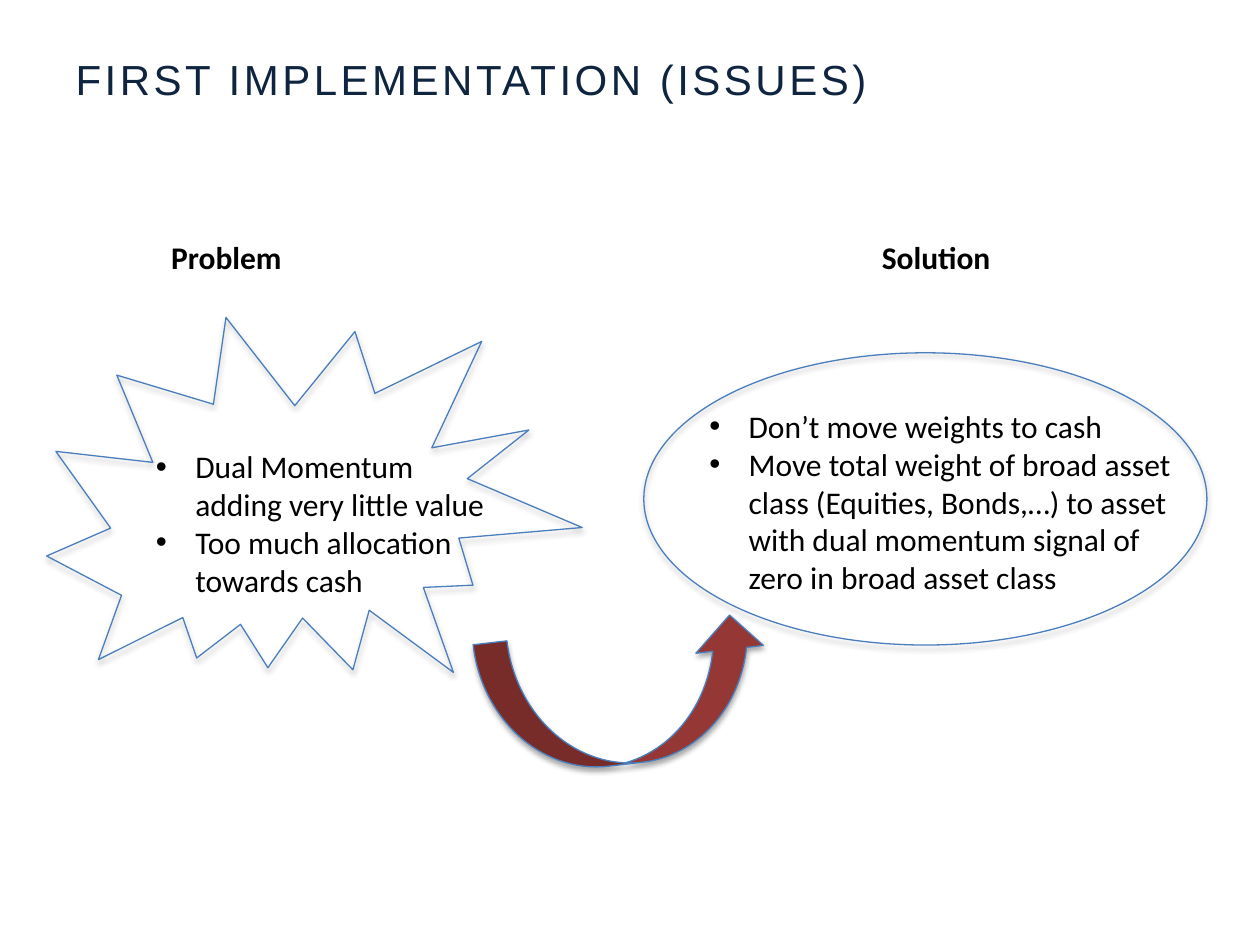
from lxml.etree import SubElement
from pptx import Presentation
from pptx.dml.color import RGBColor
from pptx.enum.shapes import MSO_SHAPE
from pptx.enum.text import MSO_ANCHOR, PP_ALIGN
from pptx.oxml.ns import qn
from pptx.util import Pt

# Content: boxes are left, top, width, height in points
TITLE = "FIRST IMPLEMENTATION (ISSUES)"
HEADS = [
    ("Problem", (90.7, 132.5, 163.4, 29)),
    ("Solution", (496.8, 132.5, 163.4, 29)),
]
LISTS = [
    (["Dual Momentum adding very little value",
      "Too much allocation towards cash"],
     (82, 252, 214.6, 116.6)),
    (["Don’t move weights to cash",
      "Move total weight of broad asset class (Equities, Bonds,…) to asset "
      "with dual momentum signal of zero in broad asset class"],
     (398.2, 229, 291.6, 116.6)),
]
SHAPES = [  # kind, box, turn, fill
    (MSO_SHAPE.EXPLOSION2, (30.2, 165.6, 295.2, 250.6), 22, None),
    (MSO_SHAPE.OVAL, (367.9, 201.6, 321.8, 167), 0, None),
    (MSO_SHAPE.CURVED_UP_ARROW, (274.3, 358.6, 167, 77.8), 353.4, "953735"),
]

# Formats
BODY = {"name": "Calibri", "size": Pt(18), "bold": False}
HEAD = BODY | {"bold": True}
TOP = {"name": "Arial", "size": Pt(24), "bold": False}
EDGE = "4B7EBC"
INDENT = Pt(22.5)


def tint(color, code):
    color.rgb = RGBColor.from_string(code)


def style(font, look, code):
    for key, val in look.items():
        setattr(font, key, val)
    tint(font.color, code)


def place(box):
    return [Pt(n) for n in box]


def shade(shape):
    """Give the shape a soft shadow straight below it."""
    shape.shadow.inherit = False
    list_ = shape._element.spPr.find(qn("a:effectLst"))
    drop = SubElement(list_, qn("a:outerShdw"), blurRad=str(Pt(3.1)),
                      dist=str(Pt(1.8)), dir="5400000", rotWithShape="0")
    ink = SubElement(drop, qn("a:srgbClr"), val="000000")
    SubElement(ink, qn("a:alpha"), val="35000")


def bullet(para):
    props = para._p.get_or_add_pPr()
    props.set("marL", str(INDENT))
    props.set("indent", str(-INDENT))
    SubElement(props, qn("a:buFont"), typeface="Arial")
    SubElement(props, qn("a:buChar"), char="•")


def write(slide, lines, box, look, dots=False):
    frame = slide.shapes.add_textbox(*place(box)).text_frame
    frame.word_wrap = True
    for i, line in enumerate(lines):
        para = frame.add_paragraph() if i else frame.paragraphs[0]
        if dots:
            bullet(para)
        run = para.add_run()
        run.text = line
        style(run.font, look, "000000")


def main():
    deck = Presentation()
    deck.slide_width, deck.slide_height = Pt(720), Pt(540)
    slide = deck.slides.add_slide(deck.slide_layouts[5])

    # Title
    title = slide.shapes.title
    title.left, title.top, title.width, title.height = place((36, 10, 648, 70))
    frame = title.text_frame
    frame.vertical_anchor = MSO_ANCHOR.MIDDLE
    para = frame.paragraphs[0]
    para.alignment = PP_ALIGN.LEFT
    run = para.add_run()
    run.text = TITLE
    style(run.font, TOP, "0F243E")
    run._r.get_or_add_rPr().set("spc", "200")

    # Burst, oval and the arrow between them
    for kind, box, turn, fill in SHAPES:
        shape = slide.shapes.add_shape(kind, *place(box))
        shape.rotation = turn
        if fill:
            shape.fill.solid()
            tint(shape.fill.fore_color, fill)
        else:
            shape.fill.background()
        tint(shape.line.color, EDGE)
        shape.line.width = Pt(0.75)
        shade(shape)

    # Headings and bullet lists
    for text, box in HEADS:
        write(slide, [text], box, HEAD)
    for lines, box in LISTS:
        write(slide, lines, box, BODY, dots=True)

    deck.save("out.pptx")


if __name__ == "__main__":
    main()
